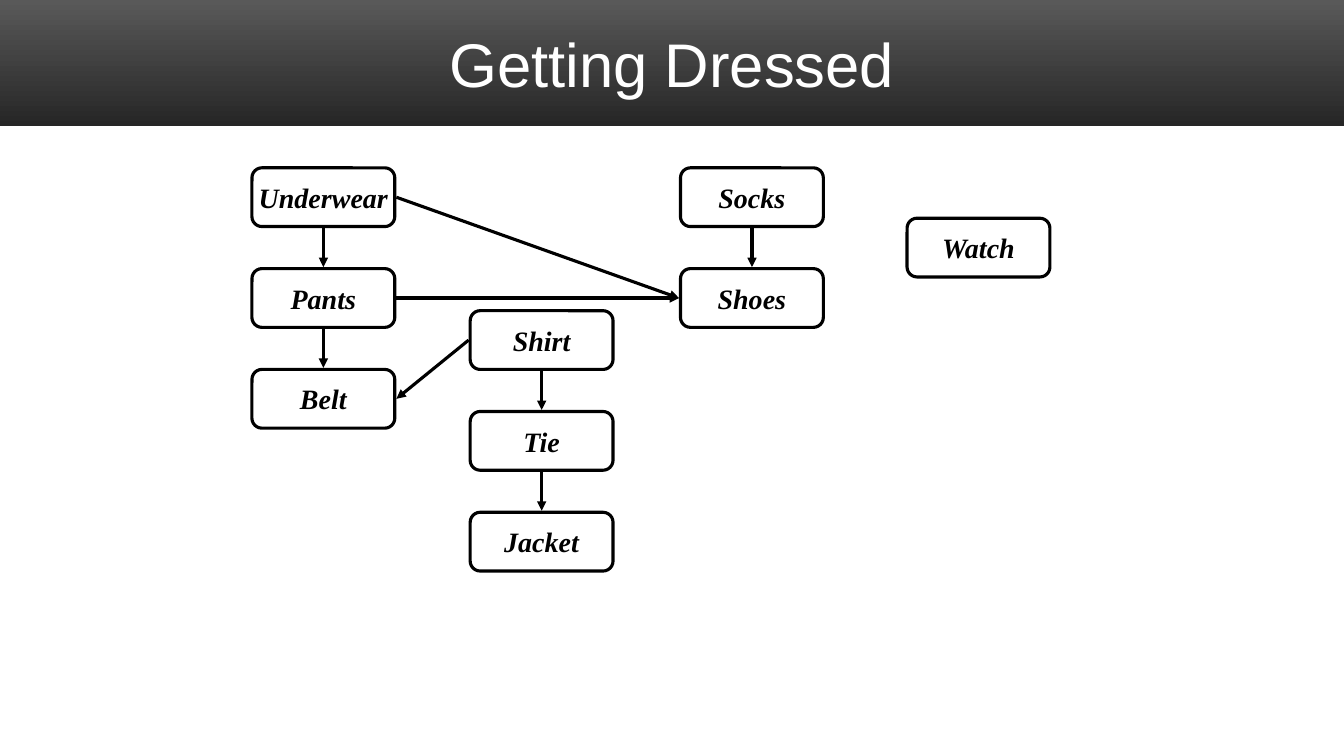
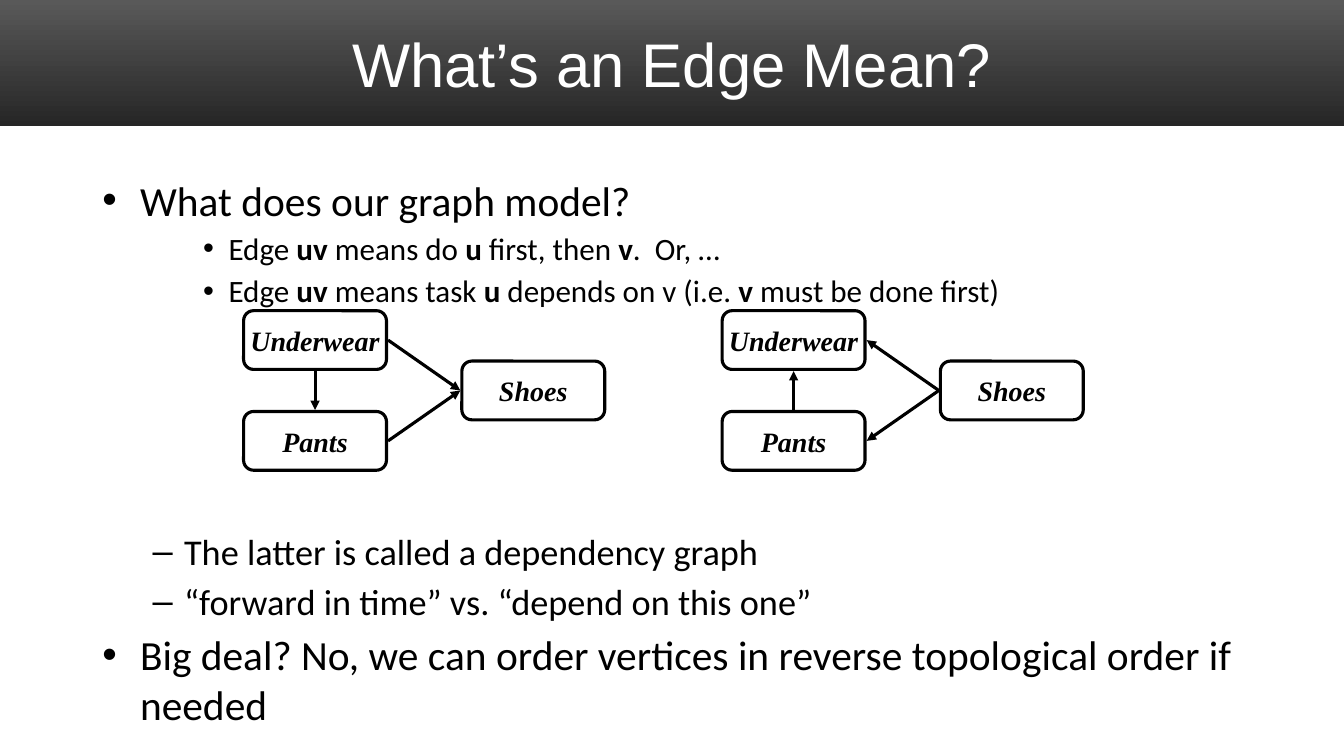
from lxml.etree import SubElement
from pptx import Presentation
from pptx.dml.color import RGBColor
from pptx.enum.shapes import MSO_CONNECTOR, MSO_SHAPE
from pptx.enum.text import MSO_ANCHOR, PP_ALIGN
from pptx.oxml.ns import qn
from pptx.util import Cm, Pt

BLACK = RGBColor(0x00, 0x00, 0x00)
WHITE = RGBColor(0xFF, 0xFF, 0xFF)
BAND_TOP = RGBColor(0x59, 0x59, 0x59)
BAND_BOTTOM = RGBColor(0x26, 0x26, 0x26)

PAGE_WIDTH, PAGE_HEIGHT = 33.87, 19.05
BAND_HEIGHT = 3.18
NODE_WIDTH, NODE_HEIGHT = 3.6, 1.48
ROW = 2.54
GAP = 0.04
LINE_WIDTH = Pt(2.25)

SIDES = {
    "left": (0, 0.5, -GAP, 0),
    "right": (1, 0.5, GAP, 0),
    "top": (0.5, 0, 0, -GAP),
    "bottom": (0.5, 1, 0, GAP),
}

LEVELS = {
    0: ("•", 29.6, 0.95, 0.95),
    1: ("–", 25.9, 2.06, 0.79),
    2: ("•", 22.2, 3.18, 0.64),
}
SPACE_RATIO = 0.16
DIAGRAM_SPACE = 157.5

OUTLINE = [
    (0, "What does our graph model?", None),
    (2, "Edge *uv* means do *u* first, then *v*.  Or, …", None),
    (2, "Edge *uv* means task *u* depends on v (i.e. *v* must be done first)", None),
    (1, "The latter is called a dependency graph", DIAGRAM_SPACE),
    (1, "“forward in time” vs. “depend on this one”", None),
    (0, "Big deal? No, we can order vertices in reverse topological order if needed", None),
]

CLOTHES = {
    "Underwear": (0, 0),
    "Socks": (10.8, 0),
    "Shoes": (10.8, ROW),
    "Pants": (0, ROW),
    "Belt": (0, 2 * ROW),
    "Shirt": (5.5, 3.6),
    "Watch": (16.51, 1.27),
    "Tie": (5.5, 3.6 + ROW),
    "Jacket": (5.5, 3.6 + 2 * ROW),
}
CLOTHES_EDGES = [
    ("Underwear", "bottom", "Pants", "top"),
    ("Pants", "bottom", "Belt", "top"),
    ("Shirt", "left", "Belt", "right"),
    ("Shirt", "bottom", "Tie", "top"),
    ("Tie", "bottom", "Jacket", "top"),
    ("Socks", "bottom", "Shoes", "top"),
    ("Underwear", "right", "Shoes", "left"),
    ("Pants", "right", "Shoes", "left"),
]

SAMPLE = {"Underwear": (0, 0), "Shoes": (5.5, ROW / 2), "Pants": (0, ROW)}
FORWARD_EDGES = [
    ("Underwear", "bottom", "Pants", "top"),
    ("Underwear", "right", "Shoes", "left"),
    ("Pants", "right", "Shoes", "left"),
]
DEPENDENCY_EDGES = [
    (end, end_side, start, start_side)
    for start, start_side, end, end_side in FORWARD_EDGES
]


def add_span(para, text, font, size, color, bold=False, italic=False):
    span = para.add_run()
    span.text = text
    span.font.name = font
    span.font.size = Pt(size)
    span.font.color.rgb = color
    span.font.bold = bold
    span.font.italic = italic


def add_page(deck, title):
    page = deck.slides.add_slide(deck.slide_layouts[6])
    band = page.shapes.add_shape(
        MSO_SHAPE.RECTANGLE, 0, 0, deck.slide_width, Cm(BAND_HEIGHT))
    band.shadow.inherit = False
    band.line.fill.background()
    band.fill.gradient()
    band.fill.gradient_angle = 270
    for stop, color in zip(band.fill.gradient_stops, (BAND_TOP, BAND_BOTTOM)):
        stop.color.rgb = color

    box = page.shapes.add_textbox(Cm(1.7), Cm(0.42), Cm(30.48), Cm(2.33))
    frame = box.text_frame
    frame.word_wrap = True
    frame.vertical_anchor = MSO_ANCHOR.MIDDLE
    para = frame.paragraphs[0]
    para.alignment = PP_ALIGN.CENTER
    add_span(para, title, "Arial", 44, WHITE)
    return page


def add_node(page, label, left, top):
    node = page.shapes.add_shape(
        MSO_SHAPE.ROUNDED_RECTANGLE,
        Cm(left), Cm(top), Cm(NODE_WIDTH), Cm(NODE_HEIGHT))
    node.adjustments[0] = 0.17
    node.shadow.inherit = False
    node.fill.background()
    node.line.color.rgb = BLACK
    node.line.width = LINE_WIDTH
    frame = node.text_frame
    frame.word_wrap = False
    frame.vertical_anchor = MSO_ANCHOR.MIDDLE
    para = frame.paragraphs[0]
    para.alignment = PP_ALIGN.CENTER
    add_span(para, label, "Times New Roman", 20, BLACK, bold=True, italic=True)


def side_point(corner, side):
    across, down, shift_x, shift_y = SIDES[side]
    left, top = corner
    return (Cm(left + across * NODE_WIDTH + shift_x),
            Cm(top + down * NODE_HEIGHT + shift_y))


def add_arrow(page, start, end):
    arrow = page.shapes.add_connector(MSO_CONNECTOR.STRAIGHT, *start, *end)
    arrow.line.color.rgb = BLACK
    arrow.line.width = LINE_WIDTH
    SubElement(arrow.line._get_or_add_ln(), qn("a:tailEnd"), type="triangle")
    SubElement(arrow._element.spPr, qn("a:effectLst"))


def add_graph(page, left, top, nodes, edges):
    corners = {label: (left + x, top + y) for label, (x, y) in nodes.items()}
    for label, corner in corners.items():
        add_node(page, label, *corner)
    for start, start_side, end, end_side in edges:
        add_arrow(page, side_point(corners[start], start_side),
                  side_point(corners[end], end_side))


def add_outline(page, left, top, width, height, items):
    box = page.shapes.add_textbox(Cm(left), Cm(top), Cm(width), Cm(height))
    frame = box.text_frame
    frame.word_wrap = True
    for index, (level, text, space) in enumerate(items):
        para = frame.add_paragraph() if index else frame.paragraphs[0]
        bullet, size, margin, hanging = LEVELS[level]
        para.level = level
        if index:
            para.space_before = Pt(space or size * SPACE_RATIO)
        properties = para._p.get_or_add_pPr()
        properties.set("marL", str(Cm(margin)))
        properties.set("indent", str(-Cm(hanging)))
        SubElement(properties, qn("a:buFont"), typeface="Arial")
        SubElement(properties, qn("a:buChar"), char=bullet)
        for part, words in enumerate(text.split("*")):
            add_span(para, words, "Calibri", size, BLACK, bold=part % 2 == 1)


def add_dressing_page(deck):
    page = add_page(deck, "Getting Dressed")
    add_graph(page, 6.35, 4.23, CLOTHES, CLOTHES_EDGES)


def add_edge_page(deck):
    page = add_page(deck, "What’s an Edge Mean?")
    add_outline(page, 2.33, 4.28, 30.48, 14.2, OUTLINE)
    for left, edges in ((6.14, FORWARD_EDGES), (18.2, DEPENDENCY_EDGES)):
        add_graph(page, left, 7.83, SAMPLE, edges)


def main():
    deck = Presentation()
    deck.slide_width = Cm(PAGE_WIDTH)
    deck.slide_height = Cm(PAGE_HEIGHT)
    add_dressing_page(deck)
    add_edge_page(deck)
    deck.save("out.pptx")


if __name__ == "__main__":
    main()
